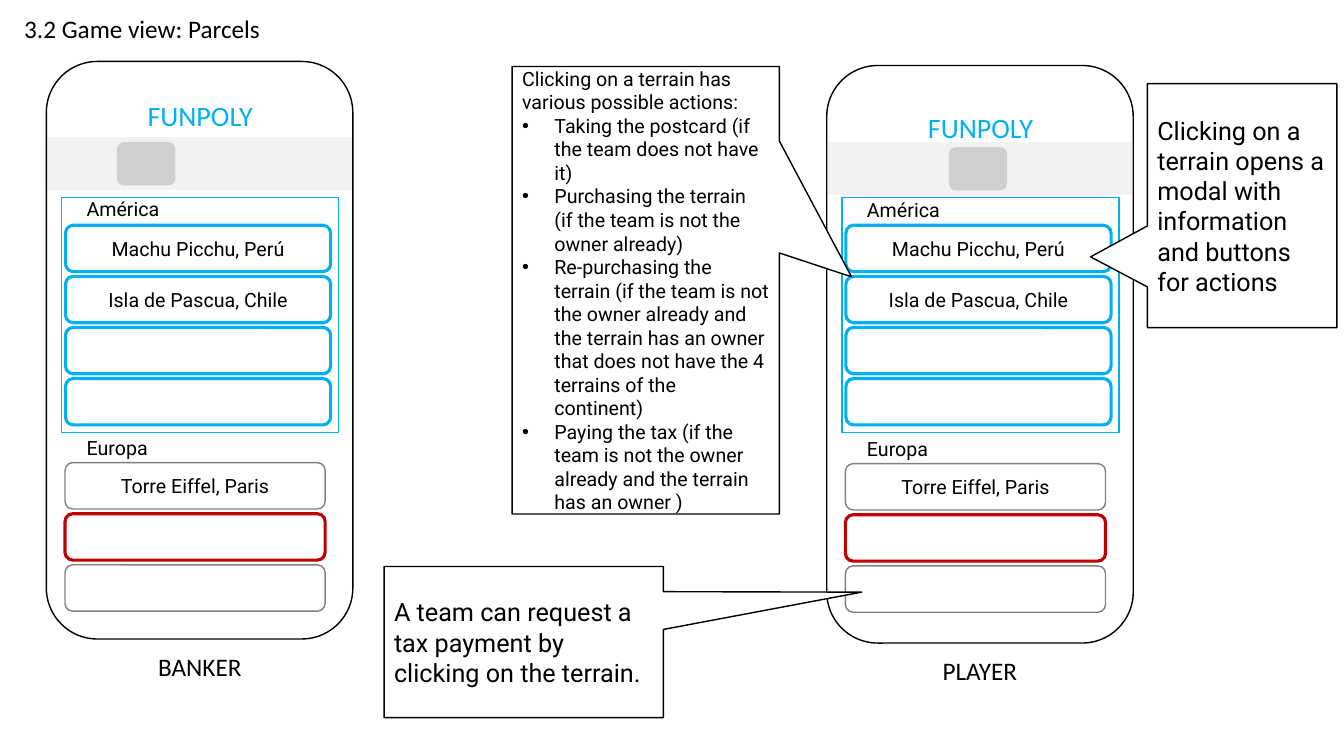
"""Build the game view slide that compares the banker and player phones."""
from dataclasses import dataclass

from lxml.etree import SubElement
from pptx import Presentation
from pptx.dml.color import RGBColor
from pptx.enum.shapes import MSO_SHAPE
from pptx.enum.text import MSO_ANCHOR, MSO_AUTO_SIZE, PP_ALIGN
from pptx.oxml.ns import qn
from pptx.util import Inches, Pt


@dataclass(frozen=True)
class Theme:
    """Colours, fonts, type sizes and grid cell of the slide."""
    ink: str = "000000"
    paper: str = "FFFFFF"
    blue: str = "00B0F0"
    red: str = "C00000"
    grey: str = "808080"
    band: str = "F2F2F2"
    chip: str = "D0CECE"
    heading_font: str = "Calibri"
    body_font: str = "Roboto"
    small: int = 14
    large: int = 18
    brand: int = 20
    thin: float = 1
    medium: float = 1.5
    thick: float = 2.25
    cell: int = Inches(0.1)


@dataclass(frozen=True)
class Phone:
    """Grid places that differ between the two phones."""
    role: str
    left: float
    top: float
    role_left: float
    brand_top: float
    band_top: float
    chip_left: float
    list_shift: float


THEME = Theme()
PHONES = [
    Phone("BANKER", 4.6, 6.1, 10.1, 9.3, 13.5, 7, 0),
    Phone("PLAYER", 82, 6.5, 10.5, 10.5, 14, 12.1, 0.1),
]
TERRAIN_PITCH = 5.07
AMERICA = [
    ("Machu Picchu, Perú", THEME.blue, THEME.thick),
    ("Isla de Pascua, Chile", THEME.blue, THEME.thick),
    ("", THEME.blue, THEME.thick),
    ("", THEME.blue, THEME.thick),
]
EUROPA = [
    ("Torre Eiffel, Paris", THEME.grey, THEME.thin),
    ("", THEME.red, THEME.thick),
    ("", THEME.grey, THEME.thin),
]
ACTIONS = [
    "Taking the postcard (if the team does not have it)",
    "Purchasing the terrain (if the team is not the owner already)",
    "Re-purchasing the terrain (if the team is not the owner already and the terrain "
    "has an owner that does not have the 4 terrains of the continent)",
    "Paying the tax (if the team is not the owner already and the terrain has an owner )",
]


def cells(*lengths):
    """Turn grid columns and rows into slide lengths."""
    return [round(length * THEME.cell) for length in lengths]


def apply(target, values):
    """Set each format value on the target."""
    for name, value in values.items():
        setattr(target, name, value)


def write(para, words, size, font=THEME.body_font, color=THEME.ink, align=PP_ALIGN.LEFT):
    """Write one formatted span in a paragraph."""
    para.alignment = align
    span = para.add_run()
    span.text = words
    apply(span.font, {"name": font, "size": Pt(size)})
    span.font.color.rgb = RGBColor.from_string(color)


def add_bullet(para):
    """Give a paragraph a hanging round bullet."""
    properties = para._p.get_or_add_pPr()
    indent = Inches(0.32)
    properties.set("marL", str(indent))
    properties.set("indent", str(-indent))
    SubElement(properties, qn("a:buFont")).set("typeface", "Arial")
    SubElement(properties, qn("a:buChar")).set("char", "•")


def add_panel(page, kind, place, fill=None, line=None, weight=THEME.thin):
    """Add a preset shape with the given fill and outline."""
    panel = page.shapes.add_shape(kind, *cells(*place))
    panel.shadow.inherit = False
    if fill:
        panel.fill.solid()
        panel.fill.fore_color.rgb = RGBColor.from_string(fill)
    else:
        panel.fill.background()
    if line:
        panel.line.color.rgb = RGBColor.from_string(line)
        panel.line.width = Pt(weight)
    else:
        panel.line.fill.background()
    apply(panel.text_frame, {"word_wrap": True, "vertical_anchor": MSO_ANCHOR.MIDDLE})
    return panel


def add_label(page, place, words, size, **style):
    """Add a text box that grows with its text."""
    box = page.shapes.add_textbox(*cells(*place))
    apply(box.text_frame, {"word_wrap": True, "auto_size": MSO_AUTO_SIZE.SHAPE_TO_FIT_TEXT})
    write(box.text_frame.paragraphs[0], words, size, **style)


def add_terrains(page, left, top, width, terrains):
    """Stack terrain buttons at equal steps."""
    for row, (name, color, weight) in enumerate(terrains):
        place = (left, top + row * TERRAIN_PITCH, width, 4.6)
        button = add_panel(page, MSO_SHAPE.ROUNDED_RECTANGLE, place, THEME.paper, color, weight)
        if name:
            write(button.text_frame.paragraphs[0], name, THEME.small, align=PP_ALIGN.CENTER)


def add_phone(page, phone):
    """Draw one phone with its header, terrain lists and role."""
    left, shift = phone.left, phone.list_shift
    add_panel(page, MSO_SHAPE.RECTANGLE, (left, phone.band_top, 30.4, 5.5),
              THEME.band, THEME.paper, THEME.medium)
    add_panel(page, MSO_SHAPE.ROUNDED_RECTANGLE, (left, phone.top, 30.4, 57.3), line=THEME.ink)
    add_panel(page, MSO_SHAPE.ROUNDED_RECTANGLE,
              (left + phone.chip_left, phone.band_top + 0.6, 5.8, 4.3), THEME.chip)
    add_label(page, (left + 8.7, phone.brand_top, 13.1, 4.4), "FUNPOLY", THEME.brand,
              font=THEME.heading_font, color=THEME.blue, align=PP_ALIGN.CENTER)
    add_label(page, (left + phone.role_left, phone.top + 58, 11.5, 4), phone.role, THEME.large,
              font=THEME.heading_font)
    for continent, top in (("América", 19), ("Europa", 42.8)):
        add_label(page, (left + 3, top + shift, 9.8, 3.4), continent, THEME.small)
    add_terrains(page, left + 1.9, 22.35, 26.3, AMERICA)
    add_terrains(page, left + 1.85, 45.9 + shift, 25.8, EUROPA)
    add_panel(page, MSO_SHAPE.RECTANGLE, (left + 1.5, 19.6, 27.5, 23.3), line=THEME.blue)


def add_callout(page, place, pointer, words, size, bullets=()):
    """Add a callout whose tail ends at the pointer."""
    callout = add_panel(page, MSO_SHAPE.RECTANGULAR_CALLOUT, place, THEME.paper, THEME.ink)
    for index, share in enumerate(pointer):
        callout.adjustments[index] = share
    write(callout.text_frame.paragraphs[0], words, size)
    for bullet in bullets:
        para = callout.text_frame.add_paragraph()
        add_bullet(para)
        write(para, bullet, size)


def add_title(page, words):
    """Move and format the title placeholder."""
    title = page.shapes.title
    apply(title, dict(zip(("left", "top", "width", "height"), cells(1.4, 0.8, 25.7, 4))))
    apply(title.text_frame, {"word_wrap": False, "vertical_anchor": MSO_ANCHOR.TOP,
                             "auto_size": MSO_AUTO_SIZE.NONE})
    write(title.text_frame.paragraphs[0], words, THEME.large, THEME.heading_font)


def main():
    """Build and save the slide."""
    deck = Presentation()
    apply(deck, {"slide_width": Inches(13.33), "slide_height": Inches(7.5)})
    page = deck.slides.add_slide(deck.slide_layouts[5])
    add_title(page, "3.2 Game view: Parcels")
    for phone in PHONES:
        add_phone(page, phone)
    add_callout(page, (50.8, 6.6, 26.5, 44.4), (0.77, -0.03),
                "Clicking on a terrain has various possible actions:", THEME.small, ACTIONS)
    add_callout(page, (113.8, 8.3, 18.8, 24.2), (-0.8, 0.21),
                "Clicking on a terrain opens a modal with information and buttons for actions",
                THEME.large)
    add_callout(page, (38.1, 56.2, 27.7, 15), (1.21, -0.33),
                "A team can request a tax payment by clicking on the terrain.", THEME.large)
    deck.save("out.pptx")


if __name__ == "__main__":
    main()
